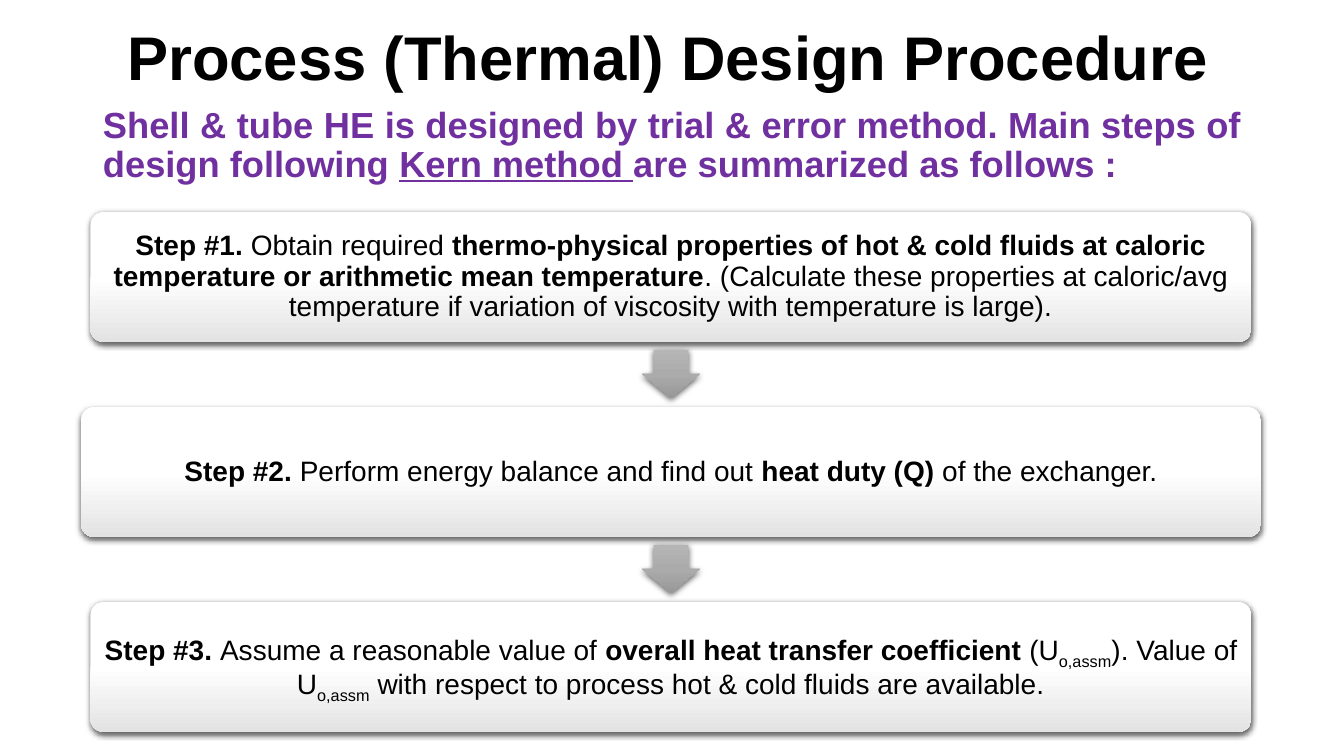
from dataclasses import dataclass

from lxml.etree import SubElement
from pptx import Presentation
from pptx.dml.color import RGBColor
from pptx.enum.shapes import MSO_SHAPE
from pptx.enum.text import MSO_ANCHOR, MSO_AUTO_SIZE, PP_ALIGN
from pptx.oxml.ns import qn
from pptx.util import Emu, Pt

PX = 914400 / 100.8


def px(length):
    return Emu(round(length * PX))


@dataclass(frozen=True)
class Theme:
    font: str = "Arial"
    ink: str = "000000"
    accent: str = "7030A0"
    box_stops: tuple = ((0, "FFFFFF"), (50, "FFFFFF"), (100, "E3E3E3"))
    arrow_stops: tuple = ((0, "B5B5B5"), (50, "ABABAB"), (100, "989898"))
    title_size: float = 44
    body_size: float = 25.9
    step_size: float = 20


class PageBuilder:
    def __init__(self, page, theme):
        self.page = page
        self.theme = theme

    def set_text(self, shape, spans, size, color, align, anchor, margins, space_before=0):
        """Fill a shape with one paragraph of (text, format) spans."""
        frame = shape.text_frame
        across, down = margins
        frame_format = {
            "word_wrap": True, "auto_size": MSO_AUTO_SIZE.NONE, "vertical_anchor": anchor,
            "margin_left": px(across), "margin_right": px(across),
            "margin_top": px(down), "margin_bottom": px(down),
        }
        for name, value in frame_format.items():
            setattr(frame, name, value)
        para = frame.paragraphs[0]
        para_format = {"alignment": align, "line_spacing": 0.9, "space_before": Pt(space_before)}
        for name, value in para_format.items():
            setattr(para, name, value)
        for text, changes in spans:
            span = para.add_run()
            span.text = text
            span_format = {"name": self.theme.font, "size": Pt(size), "bold": False} | changes
            baseline = span_format.pop("baseline", None)
            for name, value in span_format.items():
                setattr(span.font, name, value)
            span.font.color.rgb = RGBColor.from_string(color)
            if baseline:
                span.font._element.set("baseline", str(baseline * 1000))
        return para

    def place(self, shape, left, top, width, height):
        bounds = {"left": left, "top": top, "width": width, "height": height}
        for name, value in bounds.items():
            setattr(shape, name, px(value))

    def title(self, bounds, spans):
        shape = self.page.shapes.title
        self.place(shape, *bounds)
        self.set_text(shape, spans, self.theme.title_size, self.theme.ink,
                      PP_ALIGN.CENTER, MSO_ANCHOR.MIDDLE, (10, 5))

    def body(self, bounds, spans):
        shape = self.page.placeholders[1]
        self.place(shape, *bounds)
        para = self.set_text(shape, spans, self.theme.body_size, self.theme.accent,
                             PP_ALIGN.JUSTIFY, MSO_ANCHOR.TOP, (10, 5), space_before=10)
        # No bullet and no hanging indent
        properties = para._p.get_or_add_pPr()
        properties.set("marL", "0")
        properties.set("indent", "0")
        SubElement(properties, qn("a:buNone"))

    def shaded_shape(self, kind, bounds, stops, adjustments):
        """Preset shape with a vertical gradient and a soft shadow below."""
        shape = self.page.shapes.add_shape(kind, *map(px, bounds))
        for index, value in enumerate(adjustments):
            shape.adjustments[index] = value
        shape.line.fill.background()
        shape.shadow.inherit = False
        shape.fill.gradient()
        gradient = shape._element.spPr.find(qn("a:gradFill"))
        gradient.set("rotWithShape", "0")
        for child in list(gradient):
            gradient.remove(child)
        stop_list = SubElement(gradient, qn("a:gsLst"))
        for position, color in stops:
            stop = SubElement(stop_list, qn("a:gs"), pos=str(position * 1000))
            SubElement(stop, qn("a:srgbClr"), val=color)
        SubElement(gradient, qn("a:lin"), ang="5400000", scaled="0")
        effects = shape._element.spPr.find(qn("a:effectLst"))
        shadow = SubElement(effects, qn("a:outerShdw"), blurRad=str(Pt(4.5)), dist=str(Pt(1.5)),
                            dir="5400000", algn="ctr", rotWithShape="0")
        shadow_color = SubElement(shadow, qn("a:srgbClr"), val=self.theme.ink)
        SubElement(shadow_color, qn("a:alpha"), val="63000")
        return shape

    def step(self, bounds, spans):
        shape = self.shaded_shape(MSO_SHAPE.ROUNDED_RECTANGLE, bounds, self.theme.box_stops, [0.1])
        self.set_text(shape, spans, self.theme.step_size, self.theme.ink,
                      PP_ALIGN.CENTER, MSO_ANCHOR.MIDDLE, (8, 8))

    def down_arrow(self, bounds):
        shape = self.shaded_shape(MSO_SHAPE.RIGHT_ARROW, bounds, self.theme.arrow_stops, [0.6, 0.5])
        shape.rotation = 90


PLAIN = {}
BOLD = {"bold": True}
SUBSCRIPT = {"baseline": -25}

# Each step: box width and text
STEPS = [
    (1161, [
        ("Step #1. ", BOLD),
        ("Obtain required ", PLAIN),
        ("thermo-physical properties of hot & cold fluids at caloric temperature "
         "or arithmetic mean temperature", BOLD),
        (". (Calculate these properties at caloric/avg temperature if variation of "
         "viscosity with temperature is large).", PLAIN),
    ]),
    (1180, [
        ("Step #2.", BOLD),
        (" Perform energy balance and find out ", PLAIN),
        ("heat duty (Q) ", BOLD),
        ("of the exchanger.", PLAIN),
    ]),
    (1161, [
        ("Step #3. ", BOLD),
        ("Assume a reasonable value of ", PLAIN),
        ("overall heat transfer coefficient", BOLD),
        (" (U", PLAIN),
        ("o,assm", SUBSCRIPT),
        ("). Value of U", PLAIN),
        ("o,assm", SUBSCRIPT),
        (" with respect to process hot & cold fluids are available.", PLAIN),
    ]),
]
CENTER, FIRST_TOP, PITCH, BOX_HEIGHT = 671, 212, 195, 130
ARROW_WIDTH, ARROW_HEIGHT, ARROW_GAP = 48, 58, 3


def main():
    deck = Presentation()
    deck.slide_width, deck.slide_height = px(1344), px(756)
    builder = PageBuilder(deck.slides.add_slide(deck.slide_layouts[1]), Theme())

    # Heading and introduction
    builder.title((93, 0, 1168, 121), [("Process (Thermal) Design Procedure ", BOLD)])
    builder.body((93, 102, 1159, 108), [
        ("Shell & tube HE is designed by trial & error method. "
         "Main steps of design following ", BOLD),
        ("Kern method ", BOLD | {"underline": True}),
        ("are summarized as follows :", BOLD),
    ])

    # Steps, with an arrow between each pair
    for index, (width, spans) in enumerate(STEPS):
        top = FIRST_TOP + index * PITCH
        builder.step((CENTER - width / 2, top, width, BOX_HEIGHT), spans)
        if index < len(STEPS) - 1:
            builder.down_arrow((CENTER - ARROW_WIDTH / 2, top + BOX_HEIGHT + ARROW_GAP,
                                ARROW_WIDTH, ARROW_HEIGHT))

    deck.save("out.pptx")


if __name__ == "__main__":
    main()
